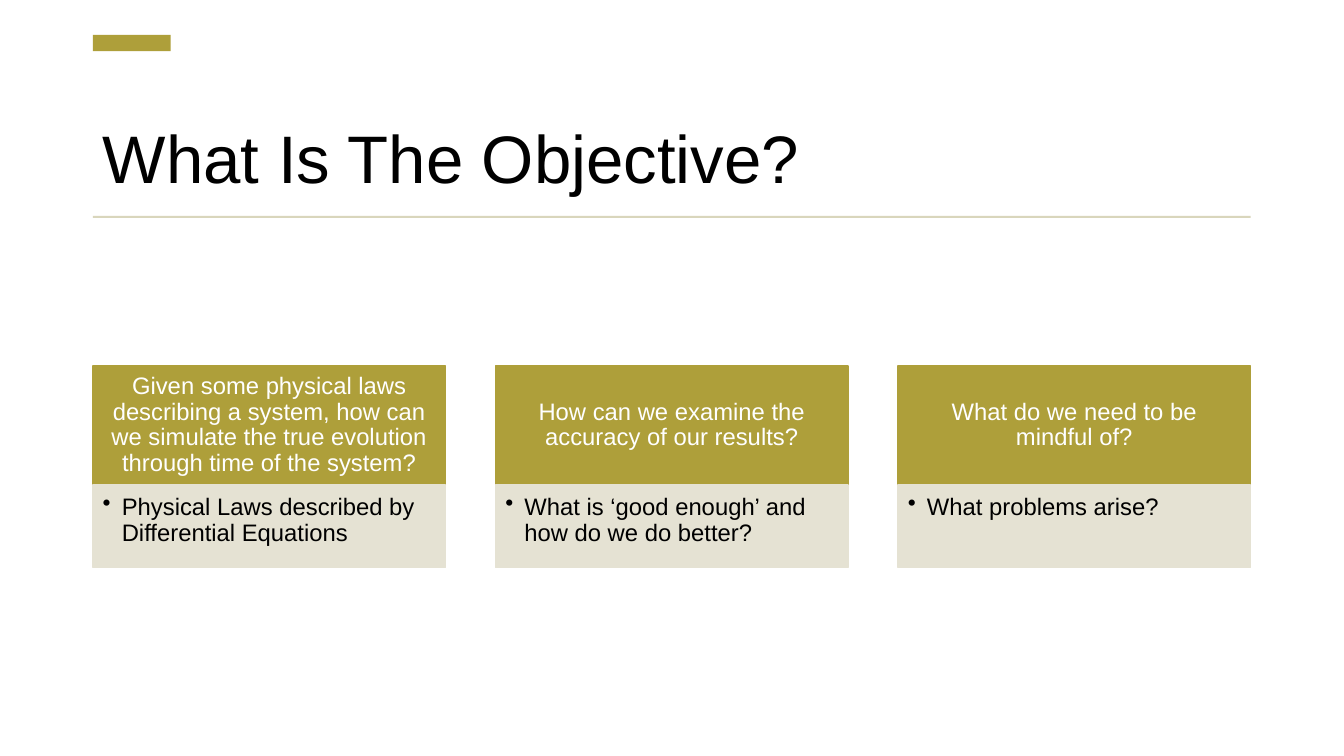
from dataclasses import dataclass

from lxml import etree
from pptx import Presentation
from pptx.dml.color import RGBColor
from pptx.enum.shapes import MSO_SHAPE
from pptx.enum.text import MSO_ANCHOR, PP_ALIGN
from pptx.oxml.ns import qn
from pptx.util import Cm, Pt

RECTANGLE = MSO_SHAPE.RECTANGLE
TOP, MIDDLE, BOTTOM = MSO_ANCHOR.TOP, MSO_ANCHOR.MIDDLE, MSO_ANCHOR.BOTTOM
LEFT, CENTER = PP_ALIGN.LEFT, PP_ALIGN.CENTER


@dataclass(frozen=True)
class Theme:
    font: str = "Arial"
    gold: RGBColor = RGBColor(0xAE, 0x9F, 0x3A)
    rule: RGBColor = RGBColor(0xD9, 0xD6, 0xBC)
    sand: RGBColor = RGBColor(0xE5, 0xE2, 0xD3)
    black: RGBColor = RGBColor(0, 0, 0)
    white: RGBColor = RGBColor(0xFF, 0xFF, 0xFF)
    title_size: Pt = Pt(48)
    card_size: Pt = Pt(17)
    border: Pt = Pt(1)


theme = Theme()

CARDS = [
    (
        "Given some physical laws describing a system, how can we simulate "
        "the true evolution through time of the system?",
        "Physical Laws described by Differential Equations",
    ),
    (
        "How can we examine the accuracy of our results?",
        "What is ‘good enough’ and how do we do better?",
    ),
    ("What do we need to be mindful of?", "What problems arise?"),
]
MARGIN = 2.34
CONTENT_WIDTH = 29.18
CARD_WIDTH = 8.89
CARD_STEP = (CONTENT_WIDTH - CARD_WIDTH) / (len(CARDS) - 1)
HEADER_TOP, HEADER_HEIGHT = 9.22, 3
BODY_HEIGHT = 2.08
BULLET_INDENT = Cm(0.48)


def add_block(left, top, width, height, color, bordered=False):
    shape = slide.shapes.add_shape(RECTANGLE, Cm(left), Cm(top), Cm(width), Cm(height))
    shape.shadow.inherit = False
    shape.fill.solid()
    shape.fill.fore_color.rgb = color
    if bordered:
        shape.line.color.rgb = color
        shape.line.width = theme.border
    else:
        shape.line.fill.background()
    return shape


def write_text(shape, text, size, color, anchor, align, insets, bullet=False):
    frame = shape.text_frame
    frame.word_wrap = True
    frame.vertical_anchor = anchor
    frame.margin_left, frame.margin_top, frame.margin_right, frame.margin_bottom = map(Cm, insets)
    paragraph = frame.paragraphs[0]
    paragraph.alignment = align
    paragraph.line_spacing = 0.9
    if bullet:
        properties = paragraph._p.get_or_add_pPr()
        properties.set("marL", str(BULLET_INDENT))
        properties.set("indent", str(-BULLET_INDENT))
        etree.SubElement(properties, qn("a:buChar")).set("char", "•")
    run = paragraph.add_run()
    run.text = text
    run.font.name = theme.font
    run.font.size = size
    run.font.color.rgb = color


presentation = Presentation()
presentation.slide_width = Cm(33.87)
presentation.slide_height = Cm(19.05)
slide = presentation.slides.add_slide(presentation.slide_layouts[6])

title = slide.shapes.add_textbox(Cm(MARGIN), Cm(1.9), Cm(CONTENT_WIDTH), Cm(3.23))
write_text(title, "What Is The Objective?", theme.title_size, theme.black,
           BOTTOM, LEFT, (0.25, 0.13, 0.25, 0.13))

add_block(MARGIN, 0.88, 1.96, 0.41, theme.gold)
add_block(MARGIN, 5.44, CONTENT_WIDTH, 0.05, theme.rule)

for index, (question, answer) in enumerate(CARDS):
    left = MARGIN + index * CARD_STEP
    header = add_block(left, HEADER_TOP, CARD_WIDTH, HEADER_HEIGHT, theme.gold, bordered=True)
    write_text(header, question, theme.card_size, theme.white,
               MIDDLE, CENTER, (0.33, 0.2, 0.33, 0.2))
    body = add_block(left, HEADER_TOP + HEADER_HEIGHT, CARD_WIDTH, BODY_HEIGHT,
                     theme.sand, bordered=True)
    write_text(body, answer, theme.card_size, theme.black,
               TOP, LEFT, (0.25, 0.25, 0.33, 0.38), bullet=True)

presentation.save("out.pptx")
